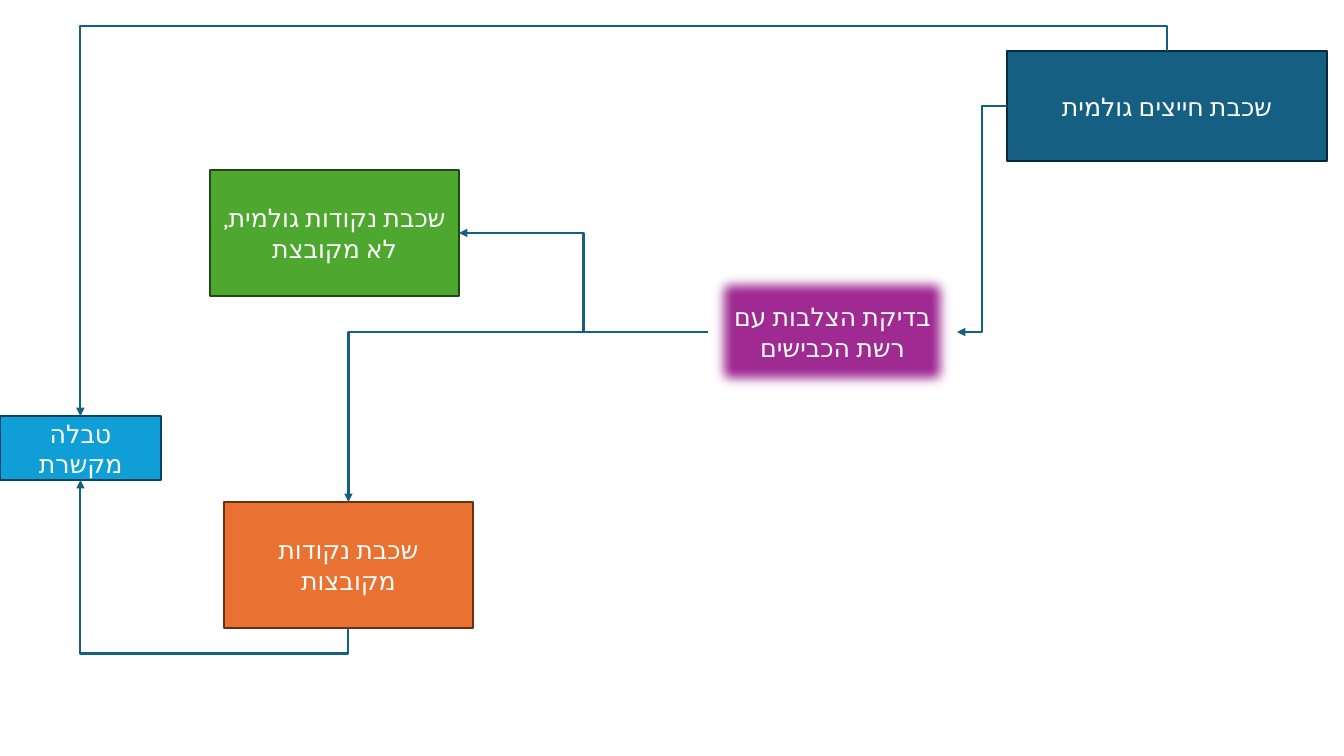
from lxml import etree
from pptx import Presentation, util as u
from pptx.dml.color import RGBColor
from pptx.enum import shapes, text
from pptx.oxml.ns import qn

PX = 914400 / 100.8
TOP, LEFT, BOTTOM, RIGHT = range(4)
COLOURS = {
    "raw": "156082", "raw_edge": "092A39",
    "check": "A02B93", "check_edge": "461340",
    "single": "4EA72E", "single_edge": "224914",
    "grouped": "E97132", "grouped_edge": "663216",
    "link": "0F9ED5", "link_edge": "07455D",
    "arrow": "156082", "text": "FFFFFF",
}


def px(n):
    return u.Emu(round(n * PX))


def rgb(name):
    return RGBColor.from_string(COLOURS[name])


def child(parent, tag, **attrs):
    return etree.SubElement(parent, qn(tag), attrs)


class FlowSlide:
    font = {"name": "Karla", "size": u.Pt(18)}
    frame = {"word_wrap": True, "vertical_anchor": text.MSO_ANCHOR.MIDDLE}
    line_width = u.Pt(1.5)

    def __init__(self, prs):
        self.s = prs.slides.add_slide(prs.slide_layouts[6])

    def box(self, colour, label, x, y, w, h, rtl=False):
        sp = self.s.shapes.add_shape(
            shapes.MSO_SHAPE.RECTANGLE, px(x), px(y), px(w), px(h))
        sp.shadow.inherit = False
        sp.fill.solid()
        sp.fill.fore_color.rgb = rgb(colour)
        sp.line.color.rgb = rgb(colour + "_edge")
        sp.line.width = self.line_width
        tf = sp.text_frame
        for key, value in self.frame.items():
            setattr(tf, key, value)
        p = tf.paragraphs[0]
        p.alignment = text.PP_ALIGN.CENTER
        if rtl:
            p._p.get_or_add_pPr().set("rtl", "1")
        r = p.add_run()
        r.text = label
        for key, value in self.font.items():
            setattr(r.font, key, value)
        r.font.color.rgb = rgb("text")
        rPr = r._r.get_or_add_rPr()
        rPr.set("lang", "he-IL")
        child(rPr, "a:cs", typeface=self.font["name"])
        return sp

    def soften(self, sp, radius):
        effects = sp._element.spPr.find(qn("a:effectLst"))
        child(effects, "a:softEdge", rad=str(px(radius)))

    def arrow(self, start, side, end, end_side, rot, flips="", bends=3, adj=None):
        """Join two boxes with an elbow; adj moves its middle leg, in 1/1000."""
        c = self.s.shapes.add_connector(shapes.MSO_CONNECTOR.ELBOW, 0, 0, 0, 0)
        c.begin_connect(start, side)
        c.end_connect(end, end_side)
        x1, y1, x2, y2 = c.begin_x, c.begin_y, c.end_x, c.end_y
        w, h = abs(x2 - x1), abs(y2 - y1)
        if rot % 180:
            w, h = h, w
        c.left, c.top = (x1 + x2 - w) // 2, (y1 + y2 - h) // 2
        c.width, c.height = w, h

        spPr = c._element.spPr
        xfrm = spPr.find(qn("a:xfrm"))
        xfrm.set("rot", str(rot * 60000))
        for key in "HV":
            xfrm.set("flip" + key, str(int(key in flips)))
        geom = spPr.find(qn("a:prstGeom"))
        geom.set("prst", f"bentConnector{bends}")
        if adj is not None:
            guides = geom.find(qn("a:avLst"))
            if guides is None:
                guides = child(geom, "a:avLst")
            child(guides, "a:gd", name="adj1", fmla=f"val {adj * 100}")

        c.line.color.rgb = rgb("arrow")
        c.line.width = self.line_width
        child(spPr.find(qn("a:ln")), "a:tailEnd", type="triangle")
        child(spPr, "a:effectLst")


def main():
    prs = Presentation()
    prs.slide_width, prs.slide_height = px(1344), px(756)
    s = FlowSlide(prs)

    raw = s.box("raw", "שכבת חייצים גולמית", 1007, 51, 320, 110)
    check = s.box("check", "בדיקת הצלבות עם רשת הכבישים", 708, 269, 249, 126)
    s.soften(check, 14)
    single = s.box("single", "שכבת נקודות גולמית, לא מקובצת", 210, 170, 249, 126, True)
    grouped = s.box("grouped", "שכבת נקודות מקובצות", 224, 502, 249, 126, True)
    link = s.box("link", "טבלה מקשרת", 0, 416, 161, 64, True)

    s.arrow(raw, LEFT, check, RIGHT, 180, "V")
    s.arrow(check, LEFT, single, RIGHT, 180, adj=500)
    s.arrow(check, LEFT, grouped, TOP, 180, "V", bends=2)
    s.arrow(raw, TOP, link, TOP, 270, "HV", adj=-69)
    s.arrow(grouped, BOTTOM, link, BOTTOM, 90, "H", adj=-172)
    prs.save("out.pptx")


if __name__ == "__main__":
    main()
